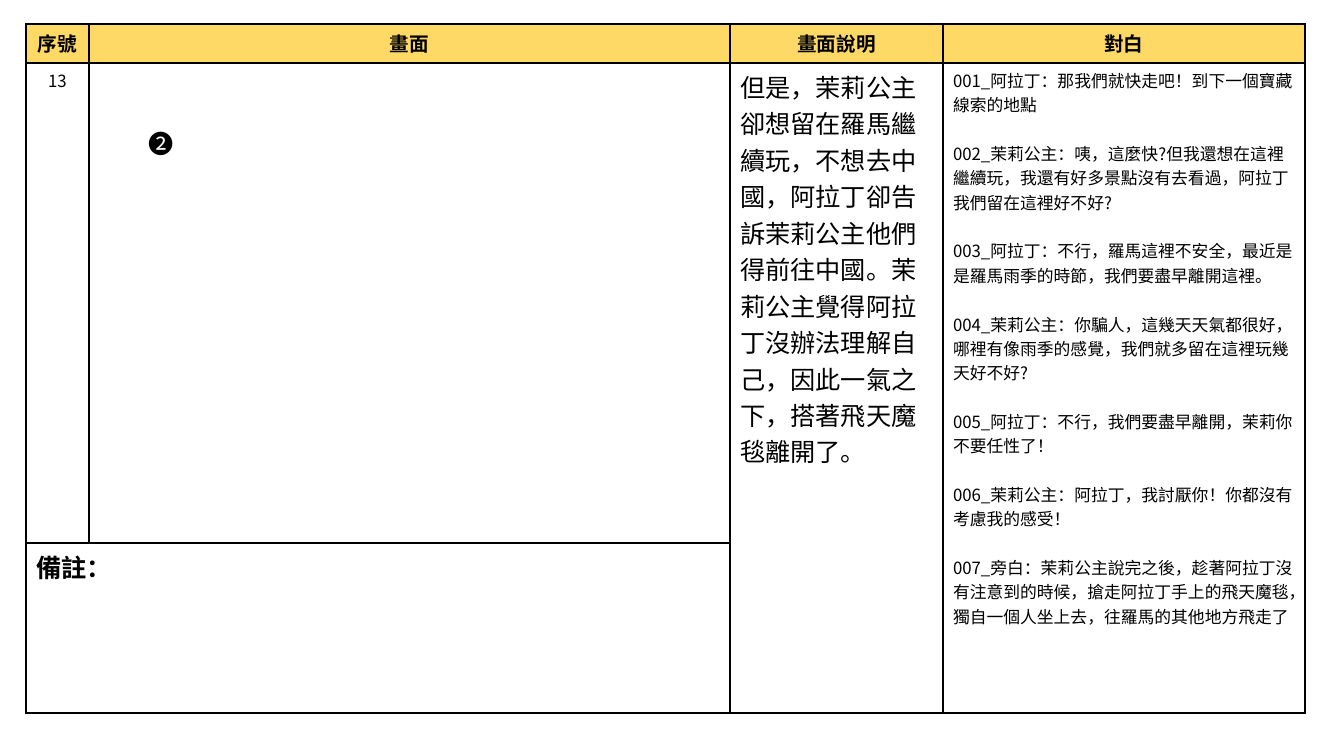
"""Build a storyboard sheet with a scene table and a numbered marker."""
from lxml import etree
from pptx import Presentation
from pptx.dml.color import RGBColor
from pptx.enum import text
from pptx.oxml import ns
from pptx import util as u

HEADERS = ["序號", "畫面", "畫面說明", "對白"]
SCENE_NUMBER = "13"
DESCRIPTION = (
    "但是，茉莉公主卻想留在羅馬繼續玩，不想去中國，阿拉丁卻告訴茉莉公主他們得前往中國。"
    "茉莉公主覺得阿拉丁沒辦法理解自己，因此一氣之下，搭著飛天魔毯離開了。"
)
DIALOGUE = [
    "001_阿拉丁：那我們就快走吧！到下一個寶藏線索的地點",
    "002_茉莉公主：咦，這麼快?但我還想在這裡繼續玩，我還有好多景點沒有去看過，阿拉丁我們留在這裡好不好?",
    "003_阿拉丁：不行，羅馬這裡不安全，最近是是羅馬雨季的時節，我們要盡早離開這裡。",
    "004_茉莉公主：你騙人，這幾天天氣都很好，哪裡有像雨季的感覺，我們就多留在這裡玩幾天好不好?",
    "005_阿拉丁：不行，我們要盡早離開，茉莉你不要任性了！",
    "006_茉莉公主：阿拉丁，我討厭你！你都沒有考慮我的感受！",
    "007_旁白：茉莉公主說完之後，趁著阿拉丁沒有注意到的時候，搶走阿拉丁手上的飛天魔毯，"
    "獨自一個人坐上去，往羅馬的其他地方飛走了",
]
REMARK = "備註："
MARKER = "❷"

FONT = "Noto Sans CJK SC"
BLACK = RGBColor(0x00, 0x00, 0x00)
YELLOW = RGBColor(0xFF, 0xD9, 0x66)
PAGE_SIZE = (1344, 756)
TABLE_ORIGIN = (26, 24)
COLUMNS = [63, 641, 213, 362]
ROWS = [39, 480, 170]
MARKER_BOX = (139, 123, 43, 40)
LINE_GAP = u.Pt(17.4)


def px(length):
    """Turn pixels into EMU."""
    return round(length * 914400 / 100.8)


def write(frame, lines, size, bold=False, align=text.PP_ALIGN.LEFT):
    """Fill a text frame with evenly spaced paragraphs."""
    for index, line in enumerate(lines):
        para = frame.add_paragraph() if index else frame.paragraphs[0]
        para.text = line
        para.alignment = align
        if index:
            para.space_before = LINE_GAP
        font = para.font
        font.size, font.bold, font.name = u.Pt(size), bold, FONT
        font.color.rgb = BLACK
        properties = para._p.pPr.find(ns.qn("a:defRPr"))
        etree.SubElement(properties, ns.qn("a:ea"), typeface=FONT)


def add_borders(cell):
    """Draw a thin black line on each side of a cell."""
    properties = cell._tc.get_or_add_tcPr()
    for side in "LRTB":
        line = etree.SubElement(properties, ns.qn(f"a:ln{side}"), w=str(u.Pt(1)))
        fill = etree.SubElement(line, ns.qn("a:solidFill"))
        etree.SubElement(fill, ns.qn("a:srgbClr"), val=str(BLACK))


def add_storyboard(page):
    """Add the scene table."""
    bounds = map(px, (*TABLE_ORIGIN, sum(COLUMNS), sum(ROWS)))
    table = page.shapes.add_table(len(ROWS), len(COLUMNS), *bounds).table
    table.first_row = table.horz_banding = False
    for column, width in zip(table.columns, COLUMNS):
        column.width = px(width)
    for row, height in zip(table.rows, ROWS):
        row.height = px(height)
    for cell in table.iter_cells():
        add_borders(cell)
        cell.fill.background()
    for column in (2, 3):
        table.cell(1, column).merge(table.cell(2, column))
    table.cell(2, 0).merge(table.cell(2, 1))

    center = text.PP_ALIGN.CENTER
    for column, header in enumerate(HEADERS):
        cell = table.cell(0, column)
        cell.fill.solid()
        cell.fill.fore_color.rgb = YELLOW
        write(cell.text_frame, [header], 14, True, center)
    write(table.cell(1, 0).text_frame, [SCENE_NUMBER], 12, align=center)
    write(table.cell(1, 2).text_frame, [DESCRIPTION], 18)
    write(table.cell(1, 3).text_frame, DIALOGUE, 12)
    write(table.cell(2, 0).text_frame, [REMARK], 18, True)


def main():
    """Create and save the deck."""
    deck = Presentation()
    deck.slide_width, deck.slide_height = map(px, PAGE_SIZE)
    page = deck.slides.add_slide(deck.slide_layouts[6])
    add_storyboard(page)
    box = page.shapes.add_textbox(*map(px, MARKER_BOX))
    box.text_frame.word_wrap = True
    write(box.text_frame, [MARKER], 18)
    deck.save("out.pptx")


if __name__ == "__main__":
    main()
